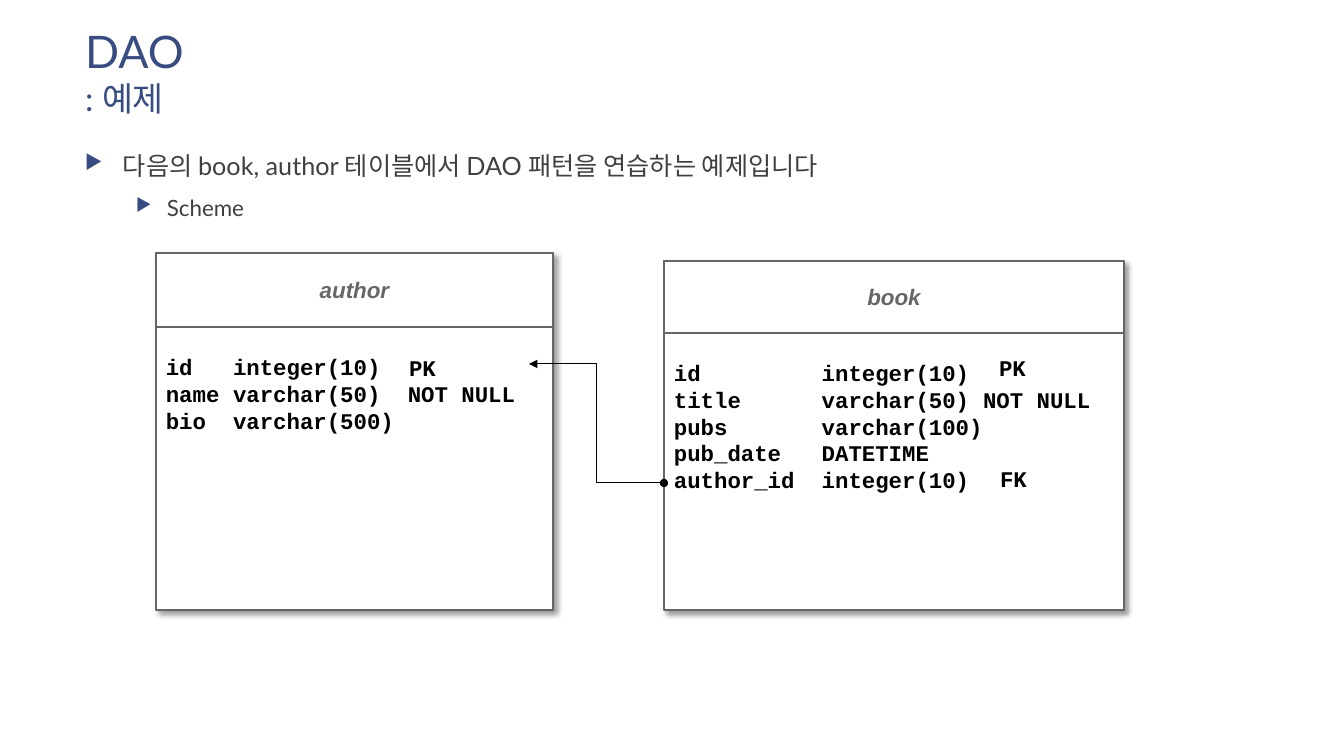
from lxml import etree
from pptx import Presentation
from pptx import util as u
from pptx.dml.color import RGBColor
from pptx.enum import shapes, text
from pptx.oxml import parse_xml
from pptx.oxml.ns import nsdecls, qn

EMU_PER_PX = 914400 / 100.8
COLOURS = {"navy": "384C81", "body": "404040", "grey": "666666",
           "black": "000000", "white": "FFFFFF"}
FORMATS = {
    "title": {"name": "Lato", "size": 32, "color": "navy"},
    "subtitle": {"name": "Lato", "size": 24, "color": "navy"},
    "bullet0": {"name": "Lato", "size": 18, "color": "body"},
    "bullet1": {"name": "Lato", "size": 16, "color": "body"},
    "entity": {"name": "Arial", "size": 16, "color": "grey", "bold": True, "italic": True},
    "code": {"name": "Courier New", "size": 16, "color": "black", "bold": True},
}
INDENTS = [(38, -38), (82, -31)]
CODE_CHAR = 13.44


def px(value):
    """Turn pixels into EMU."""
    return u.Emu(round(value * EMU_PER_PX))


def rgb(name):
    """Look up a named colour."""
    return RGBColor.from_string(COLOURS[name])


class Deck:
    """Holds the style and the current slide."""

    def __init__(self, width, height):
        """Start a deck with one title-only slide."""
        self.prs = Presentation()
        self.prs.slide_width, self.prs.slide_height = px(width), px(height)
        self.s = self.prs.slides.add_slide(self.prs.slide_layouts[5])

    def run(self, p, words, style):
        """Add a formatted run to a paragraph."""
        r = p.add_run()
        r.text = words
        for key, value in FORMATS[style].items():
            if key == "color":
                r.font.color.rgb = rgb(value)
            else:
                setattr(r.font, key, u.Pt(value) if key == "size" else value)

    def title(self, box, heading, subheading):
        """Place the title with a smaller second line."""
        sp = self.s.shapes.title
        sp.left, sp.top, sp.width, sp.height = map(px, box)
        tf = sp.text_frame
        tf.vertical_anchor = text.MSO_ANCHOR.TOP
        tf.auto_size = text.MSO_AUTO_SIZE.NONE
        p = tf.paragraphs[0]
        p.alignment = text.PP_ALIGN.LEFT
        self.run(p, heading, "title")
        p.add_line_break()
        self.run(p, subheading, "subtitle")

    def textbox(self, box, lines, style, align=text.PP_ALIGN.LEFT, parent=None):
        """Add a wrapping text box, one paragraph a line."""
        tf = (parent or self.s).shapes.add_textbox(*map(px, box)).text_frame
        tf.word_wrap = True
        for i, line in enumerate(lines):
            p = tf.add_paragraph() if i else tf.paragraphs[0]
            p.alignment = align
            self.run(p, line, style)
        return tf

    def bullets(self, box, items):
        """Add a bulleted list of (level, words) pairs."""
        tf = self.s.shapes.add_textbox(*map(px, box)).text_frame
        tf.word_wrap = True
        for i, (level, words) in enumerate(items):
            p = tf.add_paragraph() if i else tf.paragraphs[0]
            p.level, p.space_before = level, u.Pt(10)
            ppr = p._p.get_or_add_pPr()
            for key, value in zip(("marL", "indent"), INDENTS[level]):
                ppr.set(key, str(px(value)))
            for xml in (f'<a:buClr {nsdecls("a")}><a:srgbClr val="{COLOURS["navy"]}"/></a:buClr>',
                        f'<a:buSzPct {nsdecls("a")} val="80000"/>',
                        f'<a:buChar {nsdecls("a")} char="▶"/>'):
                ppr.append(parse_xml(xml))
            self.run(p, words, f"bullet{level}")

    def rect(self, parent, box, line_width, shadow=False):
        """Add a white rectangle with a grey outline."""
        sp = parent.shapes.add_shape(shapes.MSO_SHAPE.RECTANGLE, *map(px, box))
        sp.shadow.inherit = False
        sp.fill.solid()
        sp.fill.fore_color.rgb = rgb("white")
        sp.line.color.rgb = rgb("grey")
        sp.line.width = u.Pt(line_width)
        if shadow:
            sp._element.spPr.find(qn("a:effectLst")).append(parse_xml(
                f'<a:outerShdw {nsdecls("a")} blurRad="{u.Pt(4)}" dist="{u.Pt(3)}" dir="2700000" '
                f'algn="tl" rotWithShape="0"><a:srgbClr val="{COLOURS["black"]}">'
                '<a:alpha val="40000"/></a:srgbClr></a:outerShdw>'))
        return sp

    def entity(self, box, header_height, name, columns_box, rows, tab_chars):
        """Draw a database table: frame, header and tabbed columns."""
        group = self.s.shapes.add_group_shape()
        self.rect(group, box, 1.25, shadow=True)
        tf = self.rect(group, (*box[:3], header_height), 1.75).text_frame
        tf.vertical_anchor = text.MSO_ANCHOR.MIDDLE
        tf.paragraphs[0].alignment = text.PP_ALIGN.CENTER
        self.run(tf.paragraphs[0], name, "entity")
        tf = self.textbox(columns_box, ["\t".join(row) for row in rows], "code", parent=group)
        for p in tf.paragraphs:
            tabs = etree.SubElement(p._p.get_or_add_pPr(), qn("a:tabLst"))
            for chars in tab_chars:
                etree.SubElement(tabs, qn("a:tab"), pos=str(px(chars * CODE_CHAR)), algn="l")

    def relation(self, start, end):
        """Link a foreign key to its table with an elbow arrow."""
        line = self.s.shapes.add_connector(
            shapes.MSO_CONNECTOR.ELBOW, *map(px, (*start, *end)))
        line.line.color.rgb = rgb("black")
        line.line.width = u.Pt(0.75)
        ln = line.line._get_or_add_ln()
        for tag, kind in (("a:headEnd", "oval"), ("a:tailEnd", "triangle")):
            etree.SubElement(ln, qn(tag), type=kind)
        etree.SubElement(line._element.spPr, qn("a:effectLst"))

    def key_label(self, left, top, words):
        """Mark a column as a key."""
        self.textbox((left, top, 55, 37), [words], "code", text.PP_ALIGN.CENTER)


deck = Deck(1344, 756)
deck.title((75, 19, 948, 126), "DAO ", ": 예제")
deck.bullets((75, 145, 948, 520), [
    (0, "다음의 book, author 테이블에서 DAO 패턴을 연습하는 예제입니다"),
    (1, "Scheme"),
])
deck.entity((156, 253, 397, 357), 74, "author", (156, 348, 397, 92), [
    ("id", "integer(10)"),
    ("name", "varchar(50)", "NOT NULL"),
    ("bio", "varchar(500)"),
], (5, 18))
deck.entity((664, 261, 460, 349), 72, "book", (664, 354, 460, 146), [
    ("id", "integer(10)"),
    ("title", "varchar(50)", "NOT NULL"),
    ("pubs", "varchar(100)"),
    ("pub_date", "DATETIME"),
    ("author_id", "integer(10)"),
], (11, 23))
deck.relation((664, 483), (529, 364))
for label in ((395, 349, "PK"), (985, 349, "PK"), (986, 460, "FK")):
    deck.key_label(*label)
deck.prs.save("out.pptx")
